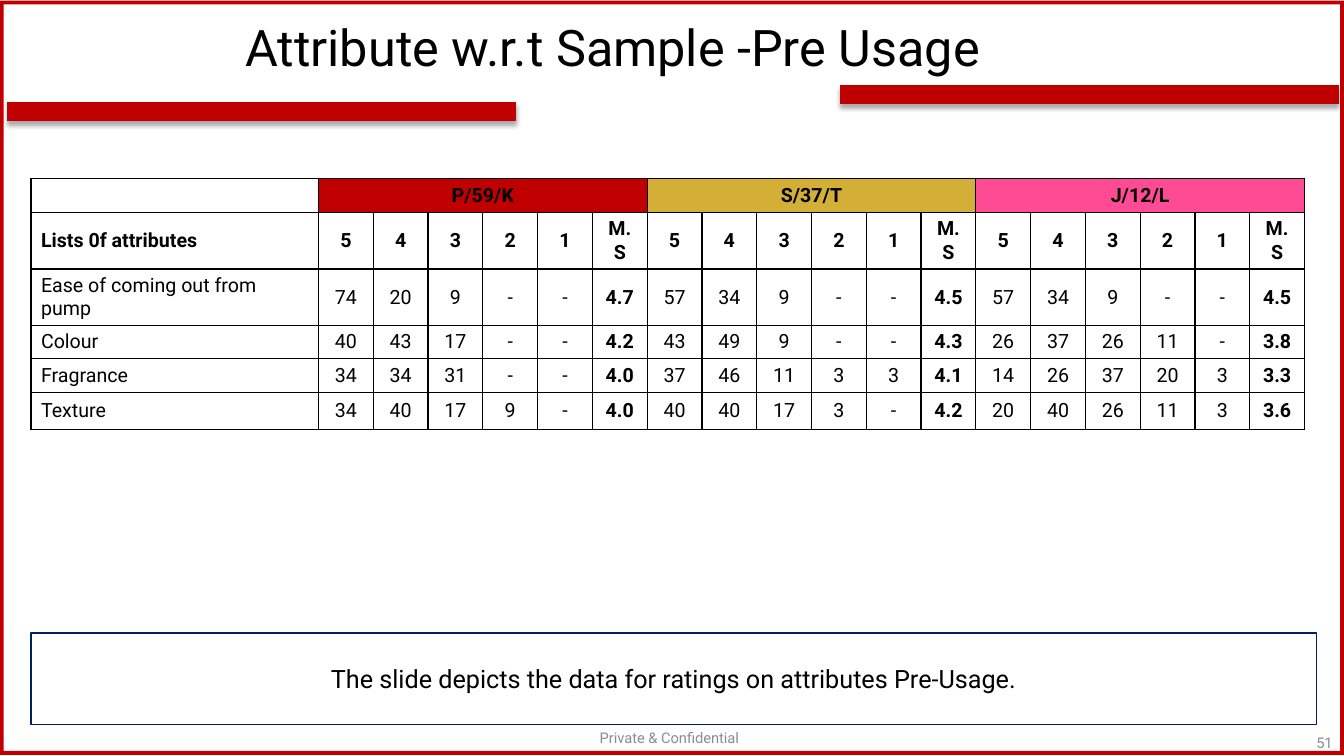
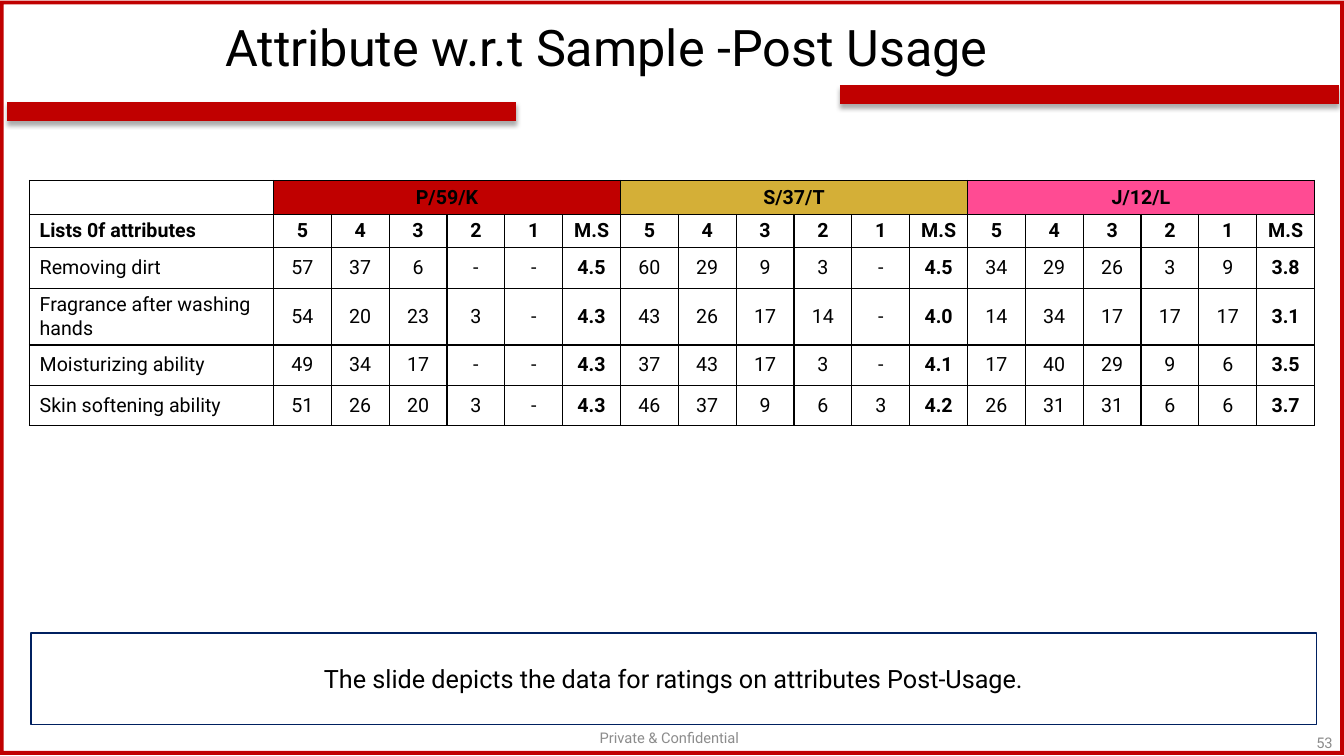
from dataclasses import dataclass
from typing import Any

from lxml.etree import SubElement
from pptx import Presentation
from pptx.dml.color import RGBColor
from pptx.enum.shapes import MSO_CONNECTOR, MSO_SHAPE
from pptx.enum.text import MSO_ANCHOR, MSO_AUTO_SIZE, PP_ALIGN
from pptx.oxml import parse_xml
from pptx.oxml.ns import nsdecls, qn
from pptx.util import Inches, Pt

SLIDE_WIDTH, SLIDE_HEIGHT = Inches(13.33), Inches(7.5)


@dataclass(frozen=True)
class Theme:
    font: str = "Roboto"
    red: str = "C00000"
    gold: str = "D4AF37"
    pink: str = "FF4B93"
    navy: str = "002060"
    black: str = "000000"
    grey: str = "8C8C8C"
    title: float = 36
    caption: float = 18
    table: float = 14
    footer: float = 10.5
    band: float = 13.75
    rule: float = 1


THEME = Theme()


def across(percent: float) -> int:
    return round(SLIDE_WIDTH * percent / 100)


def down(percent: float) -> int:
    return round(SLIDE_HEIGHT * percent / 100)


@dataclass(frozen=True)
class Area:
    left: float
    top: float
    width: float
    height: float

    def bounds(self) -> tuple[int, int, int, int]:
        return across(self.left), down(self.top), across(self.width), down(self.height)


@dataclass(frozen=True)
class Band:
    start: float
    end: float
    middle: float


@dataclass(frozen=True)
class Sample:
    code: str
    color: str


@dataclass(frozen=True)
class Attribute:
    name: str
    ratings: str
    height: float


@dataclass(frozen=True)
class RatingSlide:
    title: str
    caption: str
    number: str
    area: Area
    attribute_width: float
    scale_height: float
    attributes: tuple[Attribute, ...]


FRAME = Area(0, 0.1, 100, 99.75)
TITLE = Area(0.3, 0.93, 90.6, 11.33)
CAPTION = Area(2.3, 83.73, 95.65, 12.13)
CONFIDENTIAL = Area(32.93, 95.47, 33.75, 4.13)
PAGE_NUMBER = Area(96.45, 96.67, 3.45, 3.2)
BANDS = (Band(0.53, 38.4, 14.8), Band(62.5, 99.6, 12.53))
SAMPLES = (
    Sample("P/59/K", THEME.red),
    Sample("S/37/T", THEME.gold),
    Sample("J/12/L", THEME.pink),
)
SCALE = ("5", "4", "3", "2", "1", "M.S")

RATING_SLIDES = (
    RatingSlide(
        "Attribute w.r.t Sample -Pre Usage",
        "The slide depicts the data for ratings on attributes Pre-Usage.",
        "51", Area(2.3, 23.6, 94.8, 33.1), 21.4, 7.5,
        (
            Attribute("Ease of coming out from pump",
                      "74 20 9 - - 4.7 57 34 9 - - 4.5 57 34 9 - - 4.5", 7.4),
            Attribute("Colour", "40 43 17 - - 4.2 43 49 9 - - 4.3 26 37 26 11 - 3.8", 4.4),
            Attribute("Fragrance", "34 34 31 - - 4.0 37 46 11 3 3 4.1 14 26 37 20 3 3.3", 4.4),
            Attribute("Texture", "34 40 17 9 - 4.0 40 40 17 3 - 4.2 20 40 26 11 3 3.6", 4.9),
        ),
    ),
    RatingSlide(
        "Attribute w.r.t Sample -Post Usage ",
        "The slide depicts the data for ratings on attributes Post-Usage.",
        "53", Area(2.2, 23.87, 95.63, 32.3), 18.15, 4.4,
        (
            Attribute("Removing dirt", "57 37 6 - - 4.5 60 29 9 3 - 4.5 34 29 26 3 9 3.8", 5.4),
            Attribute("Fragrance after washing hands",
                      "54 20 23 3 - 4.3 43 26 17 14 - 4.0 14 34 17 17 17 3.1", 7.4),
            Attribute("Moisturizing ability",
                      "49 34 17 - - 4.3 37 43 17 3 - 4.1 17 40 29 9 6 3.5", 5.35),
            Attribute("Skin softening ability",
                      "51 26 20 3 - 4.3 46 37 9 6 3 4.2 26 31 31 6 6 3.7", 5.35),
        ),
    ),
)


def apply(target: Any, values: dict[str, Any]) -> None:
    for name, value in values.items():
        setattr(target, name, value)


def write(frame: Any, text: str, size: float, color: str = THEME.black,
          bold: bool = False, align: Any = PP_ALIGN.CENTER, spacing: float = 1.0) -> None:
    paragraph = frame.paragraphs[0]
    apply(paragraph, {"alignment": align, "line_spacing": spacing})
    if text:
        run = paragraph.add_run()
        run.text = text
        apply(run.font, {"name": THEME.font, "size": Pt(size), "bold": bold})
        run.font.color.rgb = RGBColor.from_string(color)
    else:
        SubElement(paragraph._p, qn("a:endParaRPr"), sz=str(round(size * 100)))


def write_area(shape: Any, text: str, size: float, **style: Any) -> None:
    apply(shape.text_frame, {
        "word_wrap": True,
        "auto_size": MSO_AUTO_SIZE.NONE,
        "vertical_anchor": MSO_ANCHOR.MIDDLE,
    })
    write(shape.text_frame, text, size, **style)


def draw_band(slide: Any, band: Band) -> Any:
    line = slide.shapes.add_connector(
        MSO_CONNECTOR.STRAIGHT, across(band.start), down(band.middle),
        across(band.end), down(band.middle))
    line.line.color.rgb = RGBColor.from_string(THEME.red)
    line.line.width = Pt(THEME.band)
    line.element.spPr.append(parse_xml(
        f'<a:effectLst {nsdecls("a")}>'
        f'<a:outerShdw blurRad="{Pt(3.5)}" dist="{Pt(2.2)}" dir="5400000" rotWithShape="0">'
        f'<a:srgbClr val="{THEME.black}"><a:alpha val="32000"/></a:srgbClr>'
        '</a:outerShdw></a:effectLst>'))
    return line


def draw_frame(slide: Any) -> Any:
    frame = slide.shapes.add_shape(MSO_SHAPE.FRAME, *FRAME.bounds())
    frame.adjustments[0] = 0.005
    frame.shadow.inherit = False
    frame.fill.solid()
    frame.fill.fore_color.rgb = RGBColor.from_string(THEME.red)
    frame.line.fill.background()
    return frame


def furnish_layout(layout: Any, slide: Any) -> None:
    for placeholder in list(layout.placeholders)[1:]:
        layout.shapes.element.remove(placeholder.element)
    decorations = [draw_band(slide, band) for band in BANDS] + [draw_frame(slide)]
    for decoration in decorations:
        layout.shapes.element.append(decoration.element)


def set_borders(cell: Any) -> None:
    properties = cell._tc.get_or_add_tcPr()
    for index, side in enumerate(("lnL", "lnR", "lnT", "lnB")):
        properties.insert(index, parse_xml(
            f'<a:{side} {nsdecls("a")} w="{Pt(THEME.rule)}"><a:solidFill>'
            f'<a:srgbClr val="{THEME.black}"/></a:solidFill></a:{side}>'))


def draw_ratings(slide: Any, content: RatingSlide) -> None:
    step = len(SCALE)
    heading = [""] * (1 + step * len(SAMPLES))
    heading[1::step] = [sample.code for sample in SAMPLES]
    rows = [heading, ["Lists 0f attributes", *SCALE * len(SAMPLES)]]
    rows += [[item.name, *item.ratings.split()] for item in content.attributes]
    heights = [4.4, content.scale_height, *(item.height for item in content.attributes)]

    table = slide.shapes.add_table(len(rows), len(heading), *content.area.bounds()).table
    apply(table, {"first_row": False, "horz_banding": False})
    rating_width = (content.area.width - content.attribute_width) / (len(heading) - 1)
    for index, column in enumerate(table.columns):
        column.width = across(rating_width if index else content.attribute_width)
    for row, height in zip(table.rows, heights):
        row.height = down(height)

    for row_index, texts in enumerate(rows):
        for column_index, text in enumerate(texts):
            cell = table.cell(row_index, column_index)
            cell.vertical_anchor = MSO_ANCHOR.MIDDLE
            cell.fill.background()
            set_borders(cell)
            mean_score = column_index > 0 and column_index % step == 0
            write(cell.text_frame, text, THEME.table,
                  bold=row_index < 2 or mean_score,
                  align=PP_ALIGN.CENTER if column_index else PP_ALIGN.LEFT)

    for index, sample in enumerate(SAMPLES):
        first = 1 + index * step
        header = table.cell(0, first)
        header.fill.solid()
        header.fill.fore_color.rgb = RGBColor.from_string(sample.color)
        header.merge(table.cell(0, first + step - 1))


def draw_caption(slide: Any, text: str) -> None:
    caption = slide.shapes.add_shape(MSO_SHAPE.RECTANGLE, *CAPTION.bounds())
    caption.shadow.inherit = False
    caption.fill.background()
    caption.line.color.rgb = RGBColor.from_string(THEME.navy)
    caption.line.width = Pt(THEME.rule)
    write_area(caption, text, THEME.caption)


def draw_slide(slide: Any, content: RatingSlide) -> None:
    title = slide.shapes.title
    apply(title, dict(zip(("left", "top", "width", "height"), TITLE.bounds())))
    write_area(title, content.title, THEME.title, spacing=0.9)
    for area, text, align in (
        (CONFIDENTIAL, "Private & Confidential", PP_ALIGN.CENTER),
        (PAGE_NUMBER, content.number, PP_ALIGN.RIGHT),
    ):
        footer = slide.shapes.add_textbox(*area.bounds())
        write_area(footer, text, THEME.footer, color=THEME.grey, align=align)
    draw_ratings(slide, content)
    draw_caption(slide, content.caption)


def main() -> None:
    deck = Presentation()
    apply(deck, {"slide_width": SLIDE_WIDTH, "slide_height": SLIDE_HEIGHT})
    layout = deck.slide_layouts[5]
    slides = [deck.slides.add_slide(layout) for _ in RATING_SLIDES]
    furnish_layout(layout, slides[0])
    for slide, content in zip(slides, RATING_SLIDES):
        draw_slide(slide, content)
    deck.save("out.pptx")


main()
